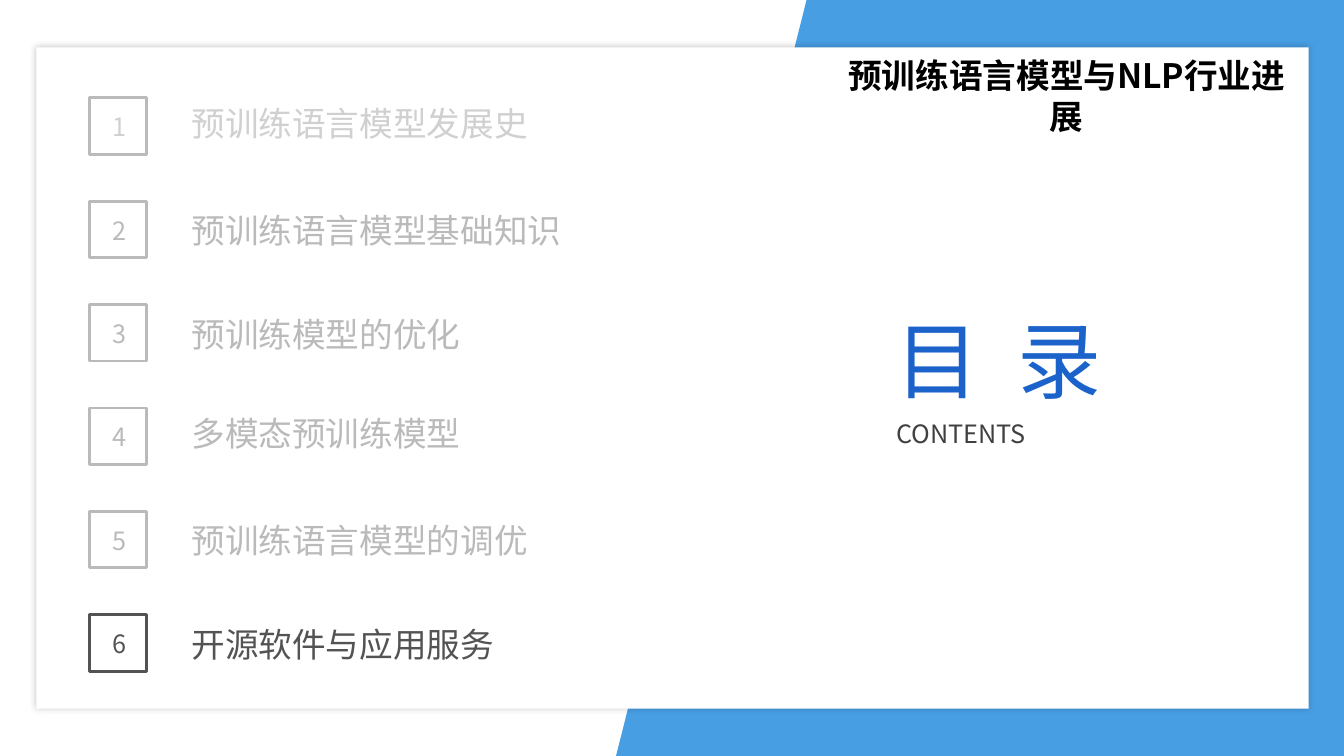
"""Build the contents slide of a course on pre-trained language models."""
from dataclasses import dataclass

from lxml import etree
from pptx import Presentation
from pptx import util as u
from pptx.dml.color import RGBColor
from pptx.enum import shapes, text
from pptx.oxml import ns

COLORS = {"white": "FFFFFF", "blue": "479EE3", "heading": "1B62CA", "subtitle": "404040",
          "black": "000000", "faded": "D0D0D0", "muted": "BABABA", "active": "535353"}
FONT = "Noto Sans CJK SC"
LINE_HEIGHT = 0.4
FIRST_SQUARE_TOP = 0.97
ROW_PITCH = 1.026
INSETS = {name: u.Inches(0.05) for name in
          ("margin_left", "margin_top", "margin_right", "margin_bottom")}


@dataclass(frozen=True)
class Chapter:
    """A contents entry with the top of its label."""
    label: str
    top: float
    number_color: str = "muted"
    square_color: str = "muted"


CHAPTERS = [
    Chapter("预训练语言模型发展史", 0.97, number_color="faded"),
    Chapter("预训练语言模型基础知识", 2.03),
    Chapter("预训练模型的优化", 3.06),
    Chapter("多模态预训练模型", 4.05),
    Chapter("预训练语言模型的调优", 5.11),
    Chapter("开源软件与应用服务", 6.14, "active", "active"),
]


def rgb(name: str) -> RGBColor:
    """Look up a named colour."""
    return RGBColor.from_string(COLORS[name])


def apply(target, values: dict) -> None:
    """Set each attribute to its format value."""
    for name, value in values.items():
        setattr(target, name, value)


def place(shape, left: float, top: float, width: float, height: float) -> None:
    """Move and size a shape in inches."""
    for name, value in zip(("left", "top", "width", "height"), (left, top, width, height)):
        setattr(shape, name, u.Inches(value))


def format_frame(shape, **values) -> None:
    """Give a text frame the shared layout with overrides."""
    apply(shape.text_frame, {"word_wrap": True, "auto_size": text.MSO_AUTO_SIZE.NONE,
                             "vertical_anchor": text.MSO_ANCHOR.TOP, **INSETS, **values})


def write(paragraph, words: str, size: float, color: str, bold: bool = False,
          alignment=text.PP_ALIGN.LEFT):
    """Add one formatted run to a paragraph and return its properties."""
    paragraph.alignment = alignment
    run = paragraph.add_run()
    run.text = words
    apply(run.font, {"size": u.Pt(size), "bold": bold, "name": FONT})
    run.font.color.rgb = rgb(color)
    properties = run.font._element
    etree.SubElement(properties, ns.qn("a:ea")).set("typeface", FONT)
    return properties


def add_text(slide, box: tuple, words: str, size: float, color: str, bold: bool = False,
             alignment=text.PP_ALIGN.CENTER, **frame) -> None:
    """Add a text box holding one paragraph."""
    shape = slide.shapes.add_textbox(*map(u.Inches, box))
    format_frame(shape, **frame)
    write(shape.text_frame.paragraphs[0], words, size, color, bold, alignment)


def add_backdrop(slide) -> None:
    """Draw the slanted blue band and the white panel behind the text."""
    builder = slide.shapes.build_freeform(u.Inches(8), 0, scale=1.0)
    corners = [(13.33, 0), (13.33, 7.5), (6.11, 7.5)]
    builder.add_line_segments([(u.Inches(x), u.Inches(y)) for x, y in corners])
    band = builder.convert_to_shape()
    panel = slide.shapes.add_shape(shapes.MSO_SHAPE.RECTANGLE,
                                   *map(u.Inches, (0.36, 0.47, 12.62, 6.56)))
    for shape, color in ((band, "blue"), (panel, "white")):
        shape.fill.solid()
        shape.fill.fore_color.rgb = rgb(color)
        shape.line.fill.background()
        shape.shadow.inherit = False
        slide.shapes.title.element.addprevious(shape.element)
    effects = panel.element.spPr.find(ns.qn("a:effectLst"))
    shadow = etree.SubElement(effects, ns.qn("a:outerShdw"), blurRad=str(u.Pt(4)), dist="0",
                              dir="0", algn="ctr", rotWithShape="0")
    shade = etree.SubElement(shadow, ns.qn("a:srgbClr"), val=COLORS["black"])
    etree.SubElement(shade, ns.qn("a:alpha"), val="20000")


def add_heading(slide) -> None:
    """Fill the title and add its subtitle and the course name."""
    title = slide.shapes.title
    place(title, 8.12, 3.01, 3.57, 1.11)
    format_frame(title)
    properties = write(title.text_frame.paragraphs[0], "目 录", 60, "heading",
                       alignment=text.PP_ALIGN.CENTER)
    properties.set("spc", "700")
    add_text(slide, (8.18, 4.1, 3.42, 0.4), "CONTENTS", 18, "subtitle",
             alignment=text.PP_ALIGN.LEFT, margin_left=u.Inches(0.71))
    add_text(slide, (8.19, 0.5, 4.78, 0.5), "预训练语言模型与NLP行业进展", 24, "black", bold=True,
             margin_left=u.Inches(0.1), margin_right=u.Inches(0.1))


def add_chapter_list(slide) -> None:
    """Fill the body with the chapter labels."""
    body = slide.placeholders[1]
    place(body, 1.85, CHAPTERS[0].top, 4.64, 5.67)
    format_frame(body)
    frame = body.text_frame
    previous_bottom = CHAPTERS[0].top
    for index, chapter in enumerate(CHAPTERS):
        paragraph = frame.add_paragraph() if index else frame.paragraphs[0]
        apply(paragraph, {"line_spacing": 1.0, "space_after": u.Pt(0),
                          "space_before": u.Inches(chapter.top - previous_bottom)})
        properties = paragraph._p.get_or_add_pPr()
        for name in ("marL", "indent"):
            properties.set(name, "0")
        etree.SubElement(properties, ns.qn("a:buNone"))
        write(paragraph, chapter.label, 24, chapter.number_color)
        previous_bottom = chapter.top + LINE_HEIGHT


def add_number(slide, index: int, chapter: Chapter) -> None:
    """Draw a numbered square beside its chapter."""
    top = FIRST_SQUARE_TOP + index * ROW_PITCH
    square = slide.shapes.add_shape(shapes.MSO_SHAPE.RECTANGLE,
                                    *map(u.Inches, (0.89, top, 0.56, 0.56)))
    square.shadow.inherit = False
    square.fill.background()
    square.line.color.rgb = rgb(chapter.square_color)
    square.line.width = u.Pt(2)
    add_text(slide, (0.84, top + 0.04, 0.68, 0.49), str(index + 1), 18, chapter.number_color,
             vertical_anchor=text.MSO_ANCHOR.MIDDLE)


def main() -> None:
    """Build and save the presentation."""
    presentation = Presentation()
    apply(presentation, {"slide_width": u.Inches(13.33), "slide_height": u.Inches(7.5)})
    slide = presentation.slides.add_slide(presentation.slide_layouts[1])
    add_backdrop(slide)
    add_heading(slide)
    add_chapter_list(slide)
    for index, chapter in enumerate(CHAPTERS):
        add_number(slide, index, chapter)
    presentation.save("out.pptx")


if __name__ == "__main__":
    main()
